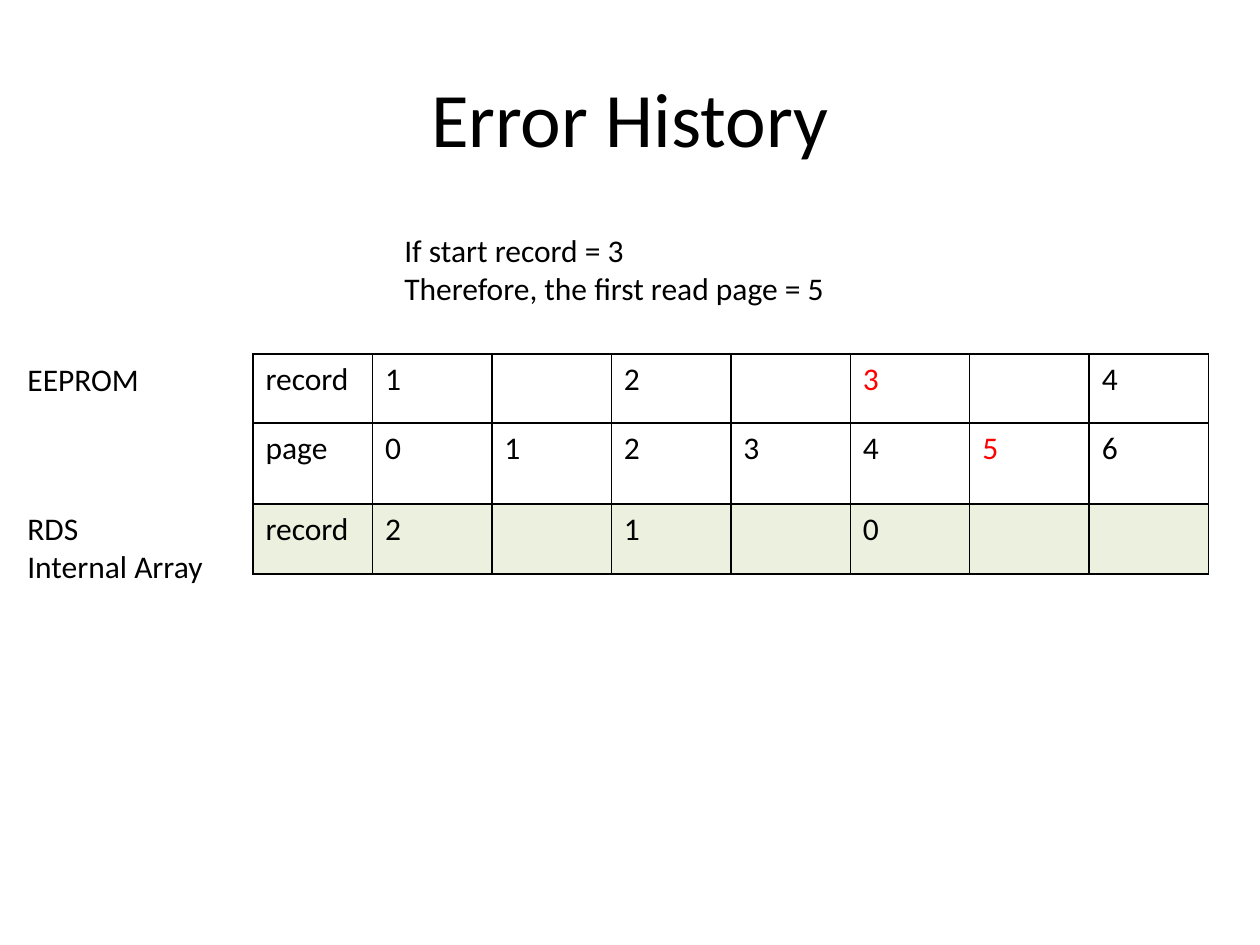
from dataclasses import dataclass

from lxml.etree import SubElement
from pptx import Presentation
from pptx.dml.color import RGBColor
from pptx.enum.text import MSO_ANCHOR, MSO_AUTO_SIZE, PP_ALIGN
from pptx.oxml.ns import qn
from pptx.util import Emu, Pt


@dataclass(frozen=True)
class Theme:
    font: str = "Calibri"
    title: int = 44
    body: int = 18
    text: str = "000000"
    accent: str = "FF0000"
    array_fill: str = "EBF1DE"
    border: str = "000000"
    border_pt: int = 1


def px(n):
    return Emu(round(n * 914400 / 126))


class Deck:
    """Draws text and tables on one slide in a single style."""

    def __init__(self, theme):
        self.theme = theme
        self.prs = Presentation()
        self.prs.slide_width, self.prs.slide_height = px(1260), px(945)
        self.slide = self.prs.slides.add_slide(self.prs.slide_layouts[6])

    def run(self, p, text, size, color):
        r = p.add_run()
        r.text = text
        r.font.name = self.theme.font
        r.font.size = Pt(size)
        r.font.color.rgb = RGBColor.from_string(color)

    def text_box(self, x, y, w, h, lines, size=None, align=PP_ALIGN.LEFT,
                 anchor=MSO_ANCHOR.TOP, fit=MSO_AUTO_SIZE.SHAPE_TO_FIT_TEXT):
        tf = self.slide.shapes.add_textbox(px(x), px(y), px(w), px(h)).text_frame
        tf.word_wrap = True
        tf.auto_size = fit
        tf.vertical_anchor = anchor
        for i, line in enumerate(lines):
            p = tf.add_paragraph() if i else tf.paragraphs[0]
            p.alignment = align
            self.run(p, line, size or self.theme.body, self.theme.text)

    def title(self, x, y, w, h, text):
        self.text_box(x, y, w, h, [text], self.theme.title, PP_ALIGN.CENTER,
                      MSO_ANCHOR.MIDDLE, MSO_AUTO_SIZE.NONE)

    def borders(self, cell):
        tc_pr = cell._tc.get_or_add_tcPr()
        for side in ("lnL", "lnR", "lnT", "lnB"):
            ln = SubElement(tc_pr, qn(f"a:{side}"), w=str(Pt(self.theme.border_pt)))
            fill = SubElement(ln, qn("a:solidFill"))
            SubElement(fill, qn("a:srgbClr"), val=self.theme.border)

    def table(self, x, y, w, heights, rows, filled_rows, marked):
        table = self.slide.shapes.add_table(
            len(rows), len(rows[0]), px(x), px(y), px(w), px(sum(heights))).table
        table.first_row = table.horz_banding = False
        for i, (height, row) in enumerate(zip(heights, rows)):
            table.rows[i].height = px(height)
            for j, value in enumerate(row):
                cell = table.cell(i, j)
                self.borders(cell)
                if i in filled_rows:
                    cell.fill.solid()
                    cell.fill.fore_color.rgb = RGBColor.from_string(self.theme.array_fill)
                else:
                    cell.fill.background()
                if value:
                    color = self.theme.accent if (i, j) in marked else self.theme.text
                    self.run(cell.text_frame.paragraphs[0], value, self.theme.body, color)


def main():
    deck = Deck(Theme())
    deck.title(63, 38, 1134, 158, "Error History")
    rows = [
        ["record", "1", "", "2", "", "3", "", "4"],
        ["page", "0", "1", "2", "3", "4", "5", "6"],
        ["record", "2", "", "1", "", "0", "", ""],
    ]
    deck.table(253, 354, 956, [69, 81, 70], rows, {2}, {(0, 5), (1, 6)})
    deck.text_box(15, 354, 159, 50, ["EEPROM"])
    deck.text_box(15, 503, 228, 89, ["RDS", "Internal Array"])
    deck.text_box(392, 225, 556, 89,
                  ["If start record = 3", "Therefore, the first read page = 5"])
    deck.prs.save("out.pptx")


if __name__ == "__main__":
    main()
